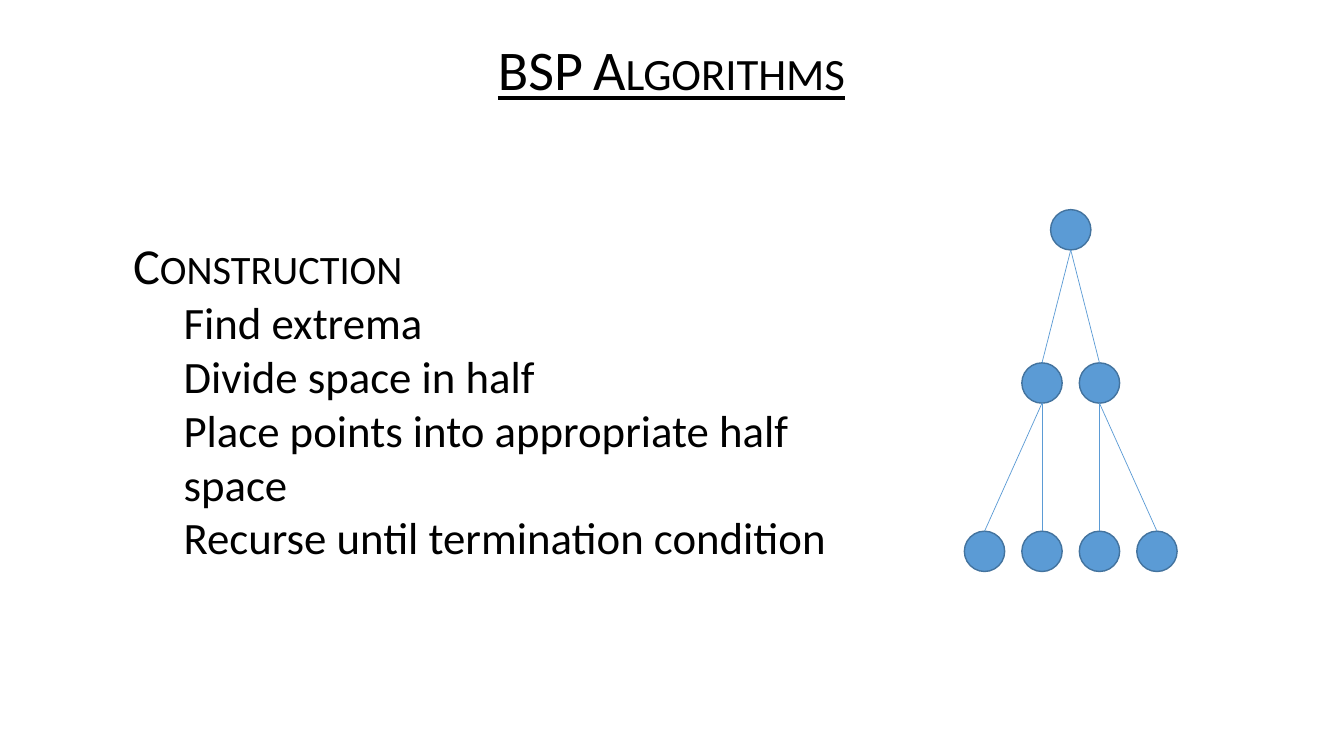
from lxml.etree import SubElement
from pptx import Presentation
from pptx.dml.color import RGBColor
from pptx.enum.shapes import MSO_CONNECTOR, MSO_SHAPE
from pptx.enum.text import MSO_ANCHOR, MSO_AUTO_SIZE, PP_ALIGN
from pptx.oxml.ns import qn
from pptx.util import Inches, Pt

COLORS = {"text": "000000", "node": "5B9BD5", "outline": "43739E"}
NODE_SIZE = 0.4
TREE_CENTER = 10.62
NODE_PITCH = 0.57


class SlideBuilder:
    font_name = "Calibri"

    def __init__(self, deck):
        self.page = deck.slides.add_slide(deck.slide_layouts[1])

    def color(self, name):
        return RGBColor.from_string(COLORS[name])

    def place(self, box, left, top, width, height):
        box.left, box.top = Inches(left), Inches(top)
        box.width, box.height = Inches(width), Inches(height)
        frame = box.text_frame
        frame.word_wrap = True
        frame.auto_size = MSO_AUTO_SIZE.NONE
        frame.vertical_anchor = MSO_ANCHOR.MIDDLE
        return frame

    def format(self, para, size, indent=0, small_caps=False, underline=False):
        properties = para._p.get_or_add_pPr()
        properties.set("marL", str(Inches(indent)))
        properties.set("indent", "0")
        SubElement(properties, qn("a:buNone"))
        para.space_before = Pt(0)
        para.font.name = self.font_name
        para.font.size = Pt(size)
        para.font.underline = underline
        para.font.color.rgb = self.color("text")
        if small_caps:
            properties.find(qn("a:defRPr")).set("cap", "small")

    def title(self, text, *bounds):
        frame = self.place(self.page.shapes.title, *bounds)
        frame.text = text
        para = frame.paragraphs[0]
        self.format(para, 40, small_caps=True, underline=True)
        para.alignment = PP_ALIGN.CENTER
        para.line_spacing = 0.9

    def outline(self, heading, items, *bounds):
        frame = self.place(self.page.placeholders[1], *bounds)
        frame.text = "\n".join([heading, *items])
        first, *rest = frame.paragraphs
        self.format(first, 36, indent=0.5, small_caps=True)
        for para in rest:
            para.level = 1
            self.format(para, 32, indent=1)

    def node(self, center, top):
        circle = self.page.shapes.add_shape(
            MSO_SHAPE.OVAL, Inches(center - NODE_SIZE / 2), Inches(top),
            Inches(NODE_SIZE), Inches(NODE_SIZE))
        circle.shadow.inherit = False
        circle.fill.solid()
        circle.fill.fore_color.rgb = self.color("node")
        circle.line.color.rgb = self.color("outline")
        circle.line.width = Pt(1)
        return circle

    def branch(self, parent, child):
        line = self.page.shapes.add_connector(
            MSO_CONNECTOR.STRAIGHT,
            parent.left + parent.width // 2, parent.top + parent.height,
            child.left + child.width // 2, child.top)
        line.end_connect(child, 0)
        line.line.color.rgb = self.color("node")
        line.line.width = Pt(0.5)
        SubElement(line._element.spPr, qn("a:effectLst"))

    def tree(self, level_tops):
        parents = []
        for depth, top in enumerate(level_tops):
            count = 2 ** depth
            nodes = [self.node(TREE_CENTER + (i - (count - 1) / 2) * NODE_PITCH, top)
                     for i in range(count)]
            if parents:
                for i, child in enumerate(nodes):
                    self.branch(parents[i // 2], child)
            parents = nodes


def main():
    deck = Presentation()
    deck.slide_width, deck.slide_height = Inches(13.33), Inches(7.5)
    slide = SlideBuilder(deck)
    slide.title("BSP Algorithms", 1.74, 0.29, 9.84, 0.85)
    slide.outline("Construction", [
        "Find extrema",
        "Divide space in half",
        "Place points into appropriate half space",
        "Recurse until termination condition",
    ], 0.72, 1.32, 8.29, 5.28)
    slide.tree([2.08, 3.6, 5.27])
    deck.save("out.pptx")


if __name__ == "__main__":
    main()
